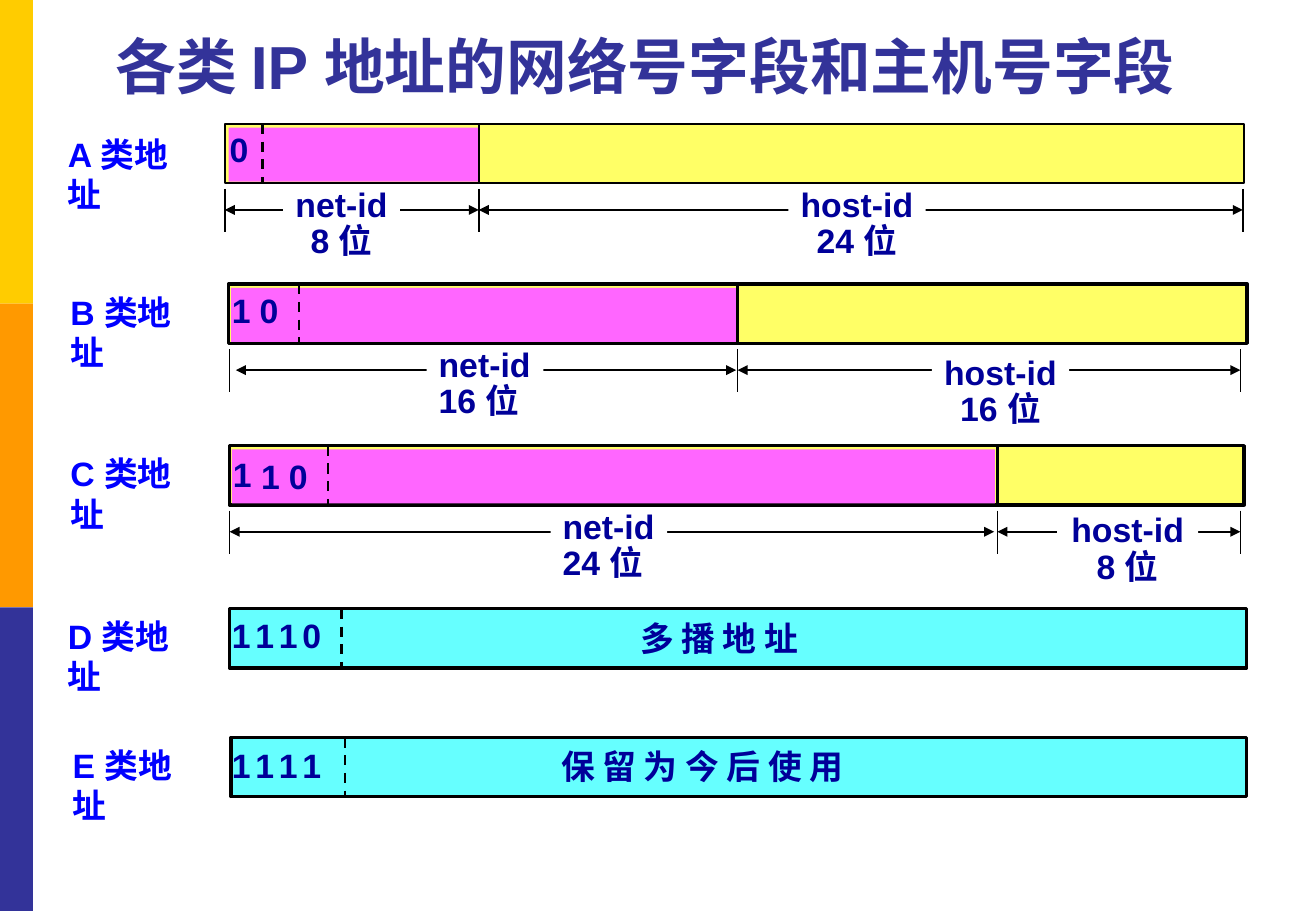
from lxml.etree import SubElement
from pptx import Presentation
from pptx.dml.color import RGBColor
from pptx.enum.dml import MSO_LINE
from pptx.enum.shapes import MSO_CONNECTOR, MSO_SHAPE
from pptx.enum.text import MSO_ANCHOR, PP_ALIGN
from pptx.oxml.ns import qn
from pptx.util import Cm, Pt

LEFT, CENTER = PP_ALIGN.LEFT, PP_ALIGN.CENTER
NAVY, BLUE, INDIGO = "000099", "0000FF", "333399"
YELLOW, PINK, CYAN = "FFFF66", "FF66FF", "66FFFF"

deck = Presentation()
deck.slide_width, deck.slide_height = Cm(27.51), Cm(19.05)
page = deck.slides.add_slide(deck.slide_layouts[6])


def paint(target, color):
    """Colour a fill or a font."""
    if hasattr(target, "solid"):
        target.solid()
        target.fore_color.rgb = RGBColor.from_string(color)
    else:
        target.color.rgb = RGBColor.from_string(color)


def add_block(left, top, width, height, fill, border=0):
    block = page.shapes.add_shape(
        MSO_SHAPE.RECTANGLE, Cm(left), Cm(top), Cm(width), Cm(height))
    block.shadow.inherit = False
    paint(block.fill, fill)
    if border:
        paint(block.line.fill, "000000")
        block.line.width = Pt(border)
    else:
        block.line.fill.background()


# Side stripes
for index, color in enumerate(["FFCC00", "FF9900", INDIGO]):
    add_block(0, index * 6.35, 0.69, 6.35, color)

# Address classes: name, name left, name top, bar left, top, width, border, fill, prefix line x
classes = [
    ("A", 1.17, 2.67, 4.7, 2.59, 21.31, 1.5, YELLOW, 5.49),
    ("B", 1.22, 5.97, 4.78, 5.94, 21.29, 2, YELLOW, 6.25),
    ("C", 1.22, 9.35, 4.8, 9.32, 21.21, 2, YELLOW, 6.86),
    ("D", 1.17, 12.75, 4.8, 12.73, 21.26, 2, CYAN, 7.14),
    ("E", 1.27, 15.44, 4.83, 15.42, 21.23, 2, CYAN, 7.21),
]
# Net block left and width, tick positions, net arrow start and end
fields = {
    "A": (4.78, 5.21, (4.7, 10.01, 25.98), 4.7, 10.01),
    "B": (4.83, 10.57, (4.8, 15.42, 25.93), 4.93, 15.39),
    "C": (4.85, 15.95, (4.8, 20.85, 25.93), 4.8, 20.78),
}
# Lines: x1, y1, x2, y2, width, dashed, arrows
arrows, marks = [], []
for name, _, _, _, top, _, _, _, prefix_x in classes:
    marks.append((prefix_x, top, prefix_x, top + 1.24, 1.5, True, False))
    if name in fields:
        _, _, ticks, start, end = fields[name]
        y = top + 1.8
        arrows.append((start, y, end, y, 1.5, False, True))
        arrows.append((ticks[1], y, ticks[2], y, 1.5, False, True))
        marks.append((ticks[1], top, ticks[1], top + 1.24, 1.5, False, False))
        for x in ticks:
            marks.append((x, top + 1.36, x, top + 2.26, 1, False, False))

# Texts: lines, left, top, width, height, colour, size, alignment, white fill
measures = [
    (["net-id", "8 位"], 5.92, 3.81, 2.44, CENTER),
    (["host-id", "24 位"], 16.48, 3.81, 2.87, CENTER),
    (["net-id", "16 位"], 8.92, 7.16, 2.44, LEFT),
    (["host-id", "16 位"], 19.48, 7.32, 2.87, CENTER),
    (["net-id", "24 位"], 11.51, 10.54, 2.44, LEFT),
    (["host-id", "8 位"], 22.1, 10.62, 2.95, CENTER),
]
measure_texts = [(lines, left, top, width, 1.78, NAVY, 20, align, True)
                 for lines, left, top, width, align in measures]
bar_texts = [
    ("0", 4.55, 2.57, 0.91),
    ("1", 4.6, 5.94, 0.91), ("0", 5.18, 5.94, 0.91),
    ("1", 4.62, 9.37, 0.91), ("1", 5.21, 9.4, 0.91), ("0", 5.79, 9.4, 0.91),
    ("1 1 1 0", 4.6, 12.73, 2.39), ("1 1 1 1", 4.6, 15.44, 2.39),
    ("多 播 地 址", 13.13, 12.8, 3.96), ("保 留 为 今 后 使 用", 11.48, 15.47, 6.71),
]
plain_texts = [([text], left, top, width, 1.09, NAVY, 20, LEFT, False)
               for text, left, top, width in bar_texts]
plain_texts += [([f"{name} 类地址"], left, top, 3.2, 1.09, BLUE, 20, LEFT, False)
                for name, left, top, *_ in classes]
plain_texts.append((["各类 IP 地址的网络号字段和主机号字段"],
                    0.76, 0.13, 25.45, 2.13, INDIGO, 36, CENTER, False))

# Draw in layers: arrows, measures over them, bars, marks, remaining texts
for layer in (arrows, measure_texts, classes, marks, plain_texts):
    if layer is classes:
        for name, _, _, left, top, width, border, fill, _ in classes:
            add_block(left, top, width, 1.24, fill, border)
            if name in fields:
                net_left, net_width, *_ = fields[name]
                add_block(net_left, top + 0.08, net_width, 1.13, PINK)
    elif layer is arrows or layer is marks:
        for x1, y1, x2, y2, weight, dashed, pointed in layer:
            line = page.shapes.add_connector(
                MSO_CONNECTOR.STRAIGHT, Cm(x1), Cm(y1), Cm(x2), Cm(y2))
            paint(line.line.fill, "000000")
            line.line.width = Pt(weight)
            if dashed:
                line.line.dash_style = MSO_LINE.DASH
            if pointed:
                outline = line.line.fill._xPr
                for tag in ("a:headEnd", "a:tailEnd"):
                    SubElement(outline, qn(tag), type="triangle")
            SubElement(line._element.spPr, qn("a:effectLst"))
    else:
        for lines, left, top, width, height, color, size, align, filled in layer:
            box = page.shapes.add_textbox(Cm(left), Cm(top), Cm(width), Cm(height))
            if filled:
                paint(box.fill, "FFFFFF")
            frame = box.text_frame
            frame.word_wrap = color != NAVY
            if color == INDIGO:
                frame.vertical_anchor = MSO_ANCHOR.BOTTOM
            for index, text in enumerate(lines):
                para = frame.add_paragraph() if index else frame.paragraphs[0]
                para.alignment = align
                if filled:
                    para.line_spacing = 0.9
                para.font.name, para.font.bold = "Arial", True
                para.font.size = Pt(size)
                paint(para.font, color)
                # Bit prefixes have small gaps between the digits
                for part in text if text.startswith("1 1") else [text]:
                    span = para.add_run()
                    span.text = part
                    if part == " ":
                        span.font.size = Pt(10)

deck.save("out.pptx")
